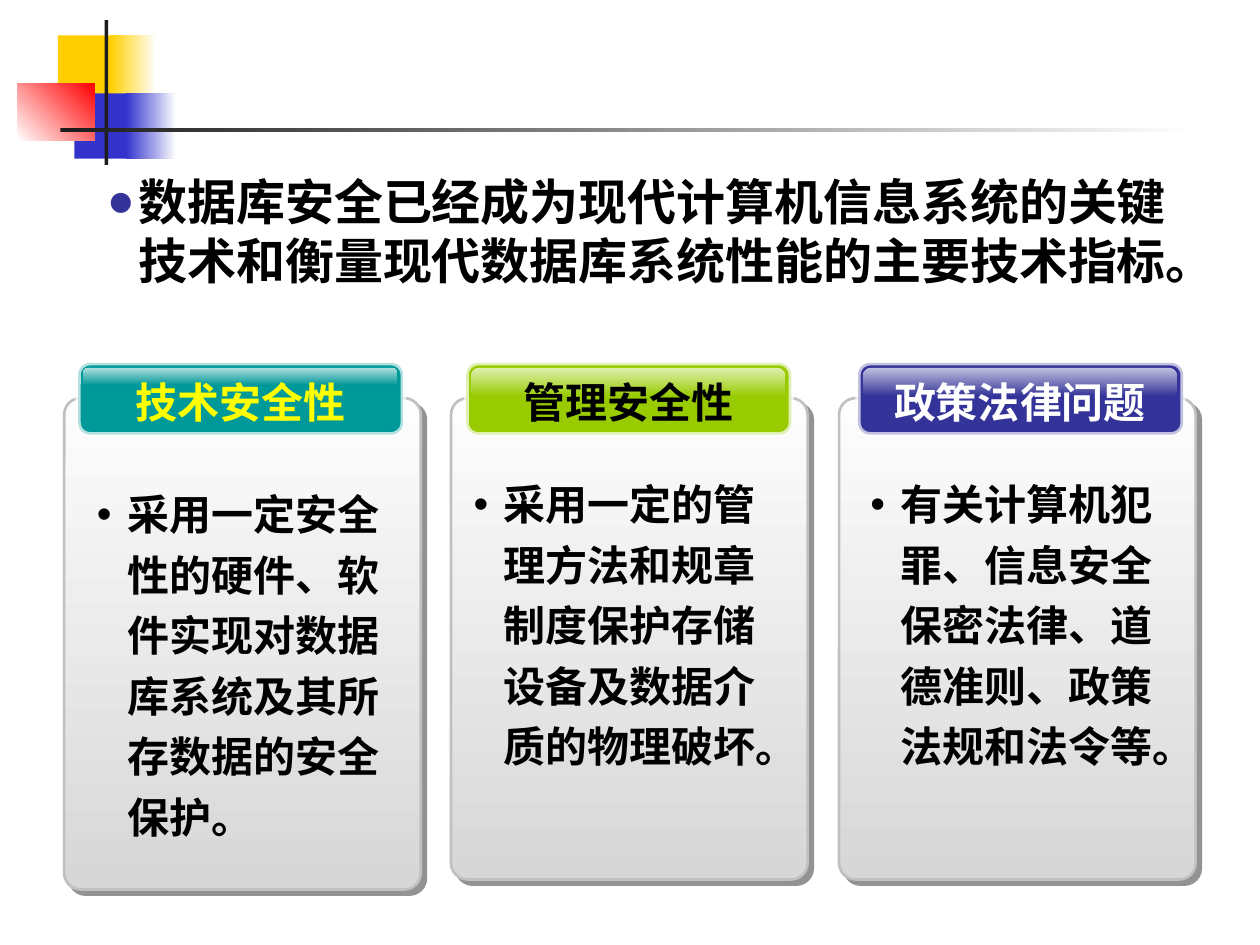
from lxml.etree import SubElement
from pptx import Presentation
from pptx.dml.color import RGBColor
from pptx.enum.shapes import MSO_SHAPE
from pptx.enum.text import MSO_AUTO_SIZE, PP_ALIGN
from pptx.oxml.ns import qn
from pptx.util import Inches, Pt

COLORS = {
    "white": "FFFFFF", "black": "000000", "gold": "FFCF01", "blue": "3333CC",
    "red": "FF0000", "ink": "1C1C1C", "navy": "333399", "lime": "99CC00",
    "teal": "009999", "yellow": "FFFF00", "pale": "FDFDFD", "gray": "D7D7D7",
    "edge": "C0C0C0", "shade": "292929",
}
DECOR = [
    ((0.46, 0.28, 0.48, 0.52), ["gold"], 0),
    ((0.88, 0.28, 0.36, 0.52), ["gold", "white"], 0),
    ((0.59, 0.74, 0.46, 0.52), ["blue"], 0),
    ((1, 0.74, 0.4, 0.52), ["blue", "white"], 0),
    ((0.14, 0.66, 0.61, 0.46), ["white", "red"], 45),
    ((0.83, 0.16, 0.03, 1.15), ["ink"], 0),
    ((0.48, 1.02, 9, 0.03), ["ink", "white"], 0),
]
LEAD = "数据库安全已经成为现代计算机信息系统的关键技术和衡量现代数据库系统性能的主要技术指标。"
CARDS = [
    dict(left=0.51, high=3.9, tab=0.62, gloss=0.14, fill="teal", color="yellow",
         title="技术安全性", box=(0.67, 3.75, 2.47, 2.98),
         body="采用一定安全性的硬件、软件实现对数据库系统及其所存数据的安全保护。"),
    dict(left=3.58, high=3.82, tab=3.7, gloss=0.23, fill="lime", color="black",
         title="管理安全性", box=(3.66, 3.67, 2.68, 2.5),
         body="采用一定的管理方法和规章制度保护存储设备及数据介质的物理破坏。"),
    dict(left=6.66, high=3.82, tab=6.81, gloss=0.23, fill="navy", color="white",
         title="政策法律问题", box=(6.81, 3.67, 2.6, 2.5),
         body="有关计算机犯罪、信息安全保密法律、道德准则、政策法规和法令等。"),
]


def rgb(name):
    return RGBColor.from_string(COLORS[name])


def fade(node, pct):
    for color in node.iter(qn("a:srgbClr")):
        SubElement(color, qn("a:alpha"), val=str(pct * 1000))


def add_box(slide, at, fills, angle=0, round=None, line=None, width=1.5):
    kind = MSO_SHAPE.RECTANGLE if round is None else MSO_SHAPE.ROUNDED_RECTANGLE
    shape = slide.shapes.add_shape(kind, *map(Inches, at))
    shape.shadow.inherit = False
    if round is not None:
        shape.adjustments[0] = round
    if len(fills) == 1:
        shape.fill.solid()
        shape.fill.fore_color.rgb = rgb(fills[0])
    else:
        shape.fill.gradient()
        shape.fill.gradient_angle = angle
        for stop, name in zip(shape.fill.gradient_stops, fills):
            stop.color.rgb = rgb(name)
    if line:
        shape.line.color.rgb = rgb(line)
        shape.line.width = Pt(width)
    else:
        shape.line.fill.background()
    return shape


def add_shade(shape):
    effect = shape.element.spPr.find(qn("a:effectLst"))
    outer = SubElement(effect, qn("a:outerShdw"), blurRad="0", dist=str(Pt(4.2)),
                       dir="2700000", algn="ctr", rotWithShape="0")
    SubElement(outer, qn("a:srgbClr"), val=COLORS["shade"])
    fade(outer, 50)


def add_bullet(para, char, indent, color=None, size=None):
    props = para._p.get_or_add_pPr()
    props.set("marL", str(Inches(indent)))
    props.set("indent", str(-Inches(indent)))
    if color:
        tint = SubElement(props, qn("a:buClr"))
        SubElement(tint, qn("a:srgbClr"), val=COLORS[color])
    if size:
        SubElement(props, qn("a:buSzPct"), val=str(size * 1000))
    SubElement(props, qn("a:buFont"), typeface="Arial")
    SubElement(props, qn("a:buChar"), char=char)


def add_text(slide, at, text, size=24, color="black", align=PP_ALIGN.LEFT,
             wrap=True, space=None, bullet=None):
    frame = slide.shapes.add_textbox(*map(Inches, at)).text_frame
    frame.word_wrap = wrap
    frame.auto_size = MSO_AUTO_SIZE.SHAPE_TO_FIT_TEXT
    para = frame.paragraphs[0]
    para.alignment = align
    if space:
        para.line_spacing = space
    if bullet:
        add_bullet(para, **bullet)
    run = para.add_run()
    run.text = text
    run.font.name = "Arial"
    run.font.size = Pt(size)
    run.font.bold = True
    run.font.color.rgb = rgb(color)


def add_card(slide, card):
    panel = add_box(slide, (card["left"], 3.16, 2.83, card["high"]),
                    ["pale", "gray"], angle=270, round=0.046, line="edge")
    add_shade(panel)
    tab = card["tab"]
    label = add_box(slide, (tab, 2.88, 2.58, 0.57), [card["fill"]],
                    round=0.167, line="white", width=3)
    fade(label.element.spPr.find(qn("a:ln")), 69)
    gloss = add_box(slide, (tab + 0.04, 2.92, 2.49, card["gloss"]),
                    ["white", card["fill"]], angle=270, round=0.284)
    fade(gloss.element.spPr, 70)
    add_text(slide, (tab + 0.18, 2.94, 2.21, 0.5), card["title"],
             color=card["color"], align=PP_ALIGN.CENTER, wrap=False)
    add_text(slide, card["box"], card["body"], space=1.2,
             bullet=dict(char="•", indent=0.24))


def main():
    deck = Presentation()
    deck.slide_width, deck.slide_height = Inches(10), Inches(7.5)
    slide = deck.slides.add_slide(deck.slide_layouts[6])
    for at, fills, angle in DECOR:
        add_box(slide, at, fills, angle)
    for card in CARDS:
        add_card(slide, card)
    add_text(slide, (0.75, 1.31, 8.82, 1.5), LEAD, size=28,
             bullet=dict(char="●", indent=0.25, color="navy", size=95))
    deck.save("out.pptx")


if __name__ == "__main__":
    main()
